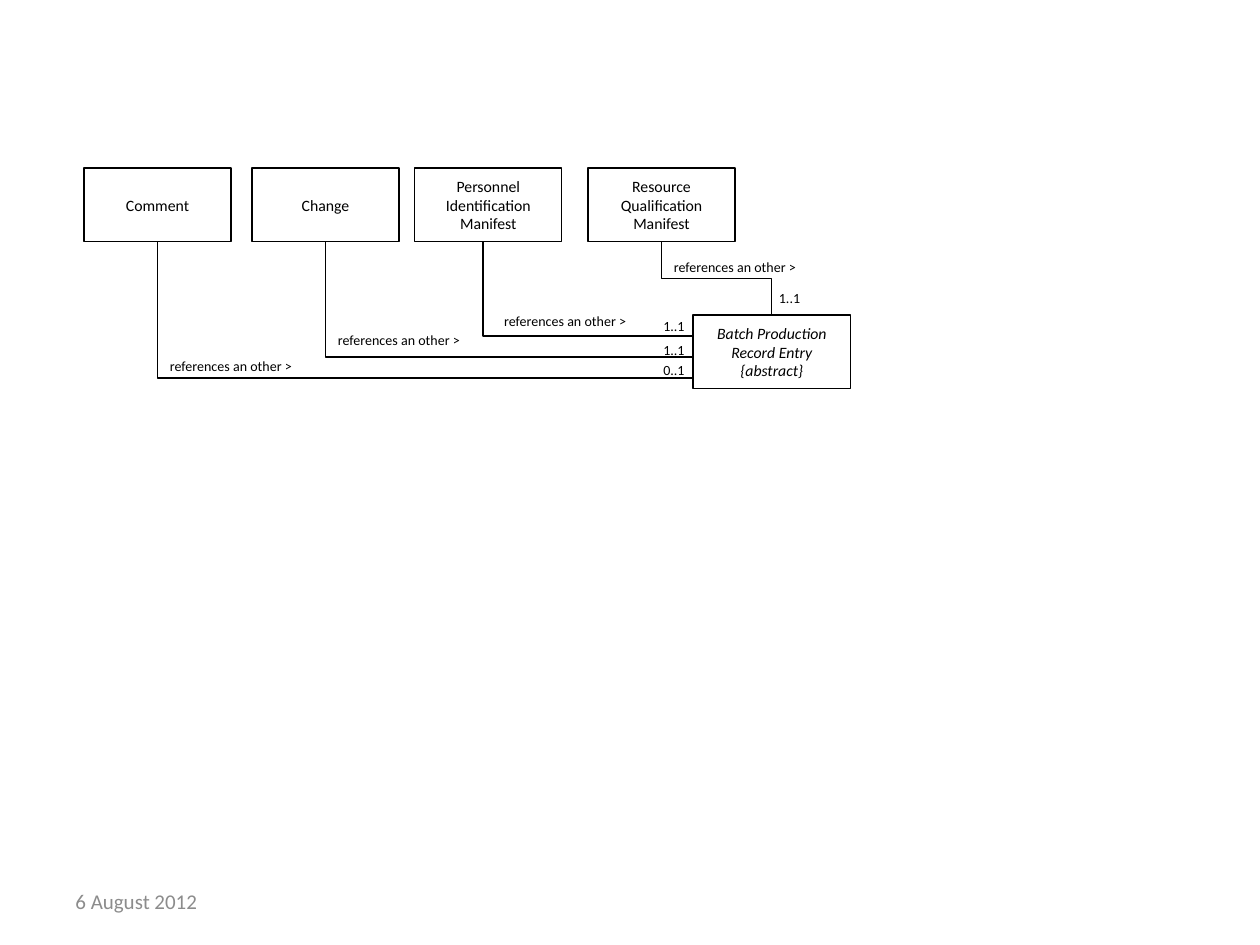
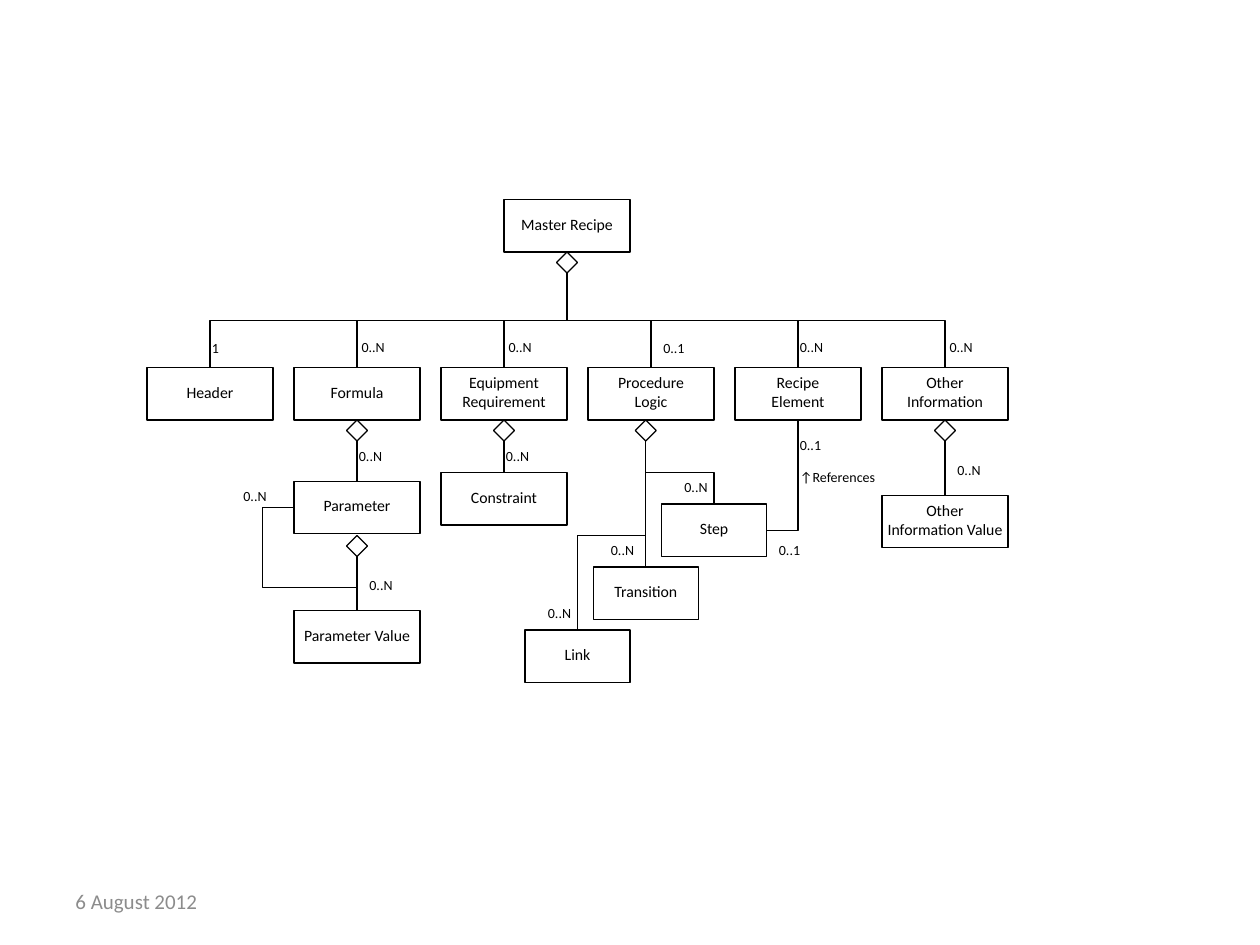
import pptx
import pptx.dml.color
import pptx.enum.shapes
import pptx.enum.text
import pptx.oxml
import pptx.oxml.ns
import pptx.util

Pt = pptx.util.Pt
SHAPE = pptx.enum.shapes.MSO_SHAPE
CONNECTOR = pptx.enum.shapes.MSO_CONNECTOR
ANCHOR = pptx.enum.text.MSO_ANCHOR
ALIGN = pptx.enum.text.PP_ALIGN
AUTO_SIZE = pptx.enum.text.MSO_AUTO_SIZE

FONT = "Calibri"
BLACK, WHITE, GREY = "000000", "FFFFFF", "8C8C8C"
DATE = "6 August 2012"
REFERENCES = "references an other >"
LABEL_WIDTHS = {"1": 18.7, "0..1": 28, "1..1": 28, "0..N": 29.5,
                "↑References": 62.6, REFERENCES: 96}
LABEL_FRAME = {"word_wrap": False, "auto_size": AUTO_SIZE.SHAPE_TO_FIT_TEXT}
CLASS_FRAME = {"word_wrap": False, "vertical_anchor": ANCHOR.MIDDLE, "margin_top": Pt(1.5)}
WRAPPED_FRAME = {"word_wrap": True, "vertical_anchor": ANCHOR.MIDDLE}
DIAMOND = 12


def set_all(obj, values):
    for name, value in values.items():
        setattr(obj, name, value)


def rgb(value):
    return pptx.dml.color.RGBColor.from_string(value)


def write(sp, text, frame, size, color=BLACK, align=ALIGN.LEFT, italic=False):
    tf = sp.text_frame
    set_all(tf, frame)
    for i, line in enumerate(text.split("\n")):
        p = tf.add_paragraph() if i else tf.paragraphs[0]
        p.alignment = align
        r = p.add_run()
        r.text = line
        set_all(r.font, {"name": FONT, "size": Pt(size), "italic": italic})
        r.font.color.rgb = rgb(color)


def outline(sp):
    sp.line.color.rgb = rgb(BLACK)
    sp.line.width = Pt(0.75)


def add_solid(slide, kind, x, y, w, h):
    """White preset shape with a thin black outline."""
    sp = slide.shapes.add_shape(kind, Pt(x), Pt(y), Pt(w), Pt(h))
    sp.shadow.inherit = False
    sp.fill.solid()
    sp.fill.fore_color.rgb = rgb(WHITE)
    outline(sp)
    return sp


def add_box(slide, text, x, y, w=72, h=30, frame=CLASS_FRAME, italic=False):
    sp = add_solid(slide, SHAPE.RECTANGLE, x, y, w, h)
    write(sp, text, frame, 9, align=ALIGN.CENTER, italic=italic)


def add_diamond(slide, center, top):
    add_solid(slide, SHAPE.DIAMOND, center - DIAMOND / 2, top, DIAMOND, DIAMOND)


def add_label(slide, text, x, y):
    sp = slide.shapes.add_textbox(Pt(x), Pt(y), Pt(LABEL_WIDTHS[text]), Pt(16.6))
    write(sp, text, LABEL_FRAME, 8)


def add_date(slide):
    sp = slide.shapes.add_textbox(Pt(36), Pt(500.5), Pt(168), Pt(28.75))
    write(sp, DATE, WRAPPED_FRAME, 12, GREY)


def add_line(slide, x1, y1, x2, y2, kind=CONNECTOR.STRAIGHT):
    sp = slide.shapes.add_connector(kind, Pt(x1), Pt(y1), Pt(x2), Pt(y2))
    outline(sp)
    sp._element.spPr.append(pptx.oxml.parse_xml(
        "<a:effectLst %s/>" % pptx.oxml.ns.nsdecls("a")))
    return sp


def add_drop(slide, x1, y1, x2, y2):
    """Elbow that leaves downwards, crosses halfway and ends downwards."""
    cx, cy = (x1 + x2) / 2, (y1 + y2) / 2
    half_w, half_h = (y2 - y1) / 2, (x1 - x2) / 2
    sp = add_line(slide, cx - half_w, cy - half_h, cx + half_w, cy + half_h, CONNECTOR.ELBOW)
    sp._element.spPr.xfrm.set("rot", "5400000")


def add_bend(slide, x1, y1, x2, y2, preset, adjustments=()):
    """Elbow that leaves sideways, shaped by a bent connector preset."""
    sp = add_line(slide, x1, y1, x2, y2, CONNECTOR.ELBOW)
    geom = sp._element.spPr.find(pptx.oxml.ns.qn("a:prstGeom"))
    geom.set("prst", preset)
    guides = geom.find(pptx.oxml.ns.qn("a:avLst"))
    for i, value in enumerate(adjustments, 1):
        guides.append(pptx.oxml.parse_xml('<a:gd %s name="adj%d" fmla="val %d"/>' % (
            pptx.oxml.ns.nsdecls("a"), i, value)))


def add_route(slide, *points):
    start, *rest = [(Pt(x), Pt(y)) for x, y in points]
    builder = slide.shapes.build_freeform(*start)
    builder.add_line_segments(rest, close=False)
    sp = builder.convert_to_shape()
    sp.shadow.inherit = False
    sp.fill.background()
    outline(sp)


def build_record_entry(slide):
    top, w, h = 96, 84, 42
    entry_x, entry_y, entry_w = 396, 180, 90
    for text, x in (("Comment", 48), ("Change", 144),
                    ("Personnel Identification Manifest", 237),
                    ("Resource Qualification Manifest", 336)):
        add_box(slide, text, x, top, w, h, WRAPPED_FRAME)
    add_box(slide, "Batch Production Record Entry\n{abstract}", entry_x, entry_y,
            entry_w, h, WRAPPED_FRAME, italic=True)
    for x, y in ((90, 216), (186, 204), (276, 192)):
        add_route(slide, (x, top + h), (x, y), (entry_x, y))
    add_drop(slide, 378, top + h, entry_x + entry_w / 2, entry_y)
    for x, y in ((90, 201), (186, 186), (281, 175), (378, 144)):
        add_label(slide, REFERENCES, x, y)
    for text, x, y in (("0..1", 372, 203), ("1..1", 372, 191.5),
                       ("1..1", 372, 178), ("1..1", 438, 162)):
        add_label(slide, text, x, y)


def build_master_recipe(slide):
    parts = ("Header", "Formula", "Equipment\nRequirement", "Procedure\nLogic",
             "Recipe\nElement", "Other\nInformation")
    lefts = [84 + 84 * i for i in range(len(parts))]
    header, formula, equipment, logic, element, other = [x + 36 for x in lefts]
    part_y, part_end = 210, 240
    diamond_end = part_end + DIAMOND
    root, root_end, split = 324, 144, 369

    for text, x in zip(parts, lefts):
        add_box(slide, text, x, part_y)
        add_drop(slide, root, root_end + DIAMOND, x + 36, part_y)
    add_box(slide, "Master Recipe", root - 36, root_end - 30)
    add_diamond(slide, root, root_end)
    for center in (formula, equipment, split, other):
        add_diamond(slide, center, part_end)

    for text, center, y in (("Parameter", formula, 275), ("Constraint", equipment, 270),
                            ("Other\nInformation Value", other, 283)):
        add_box(slide, text, center - 36, y)
        add_line(slide, center, diamond_end, center, y)
    add_box(slide, "Parameter Value", formula - 36, 349)
    add_diamond(slide, formula, 306)
    add_line(slide, formula, 318, formula, 349)
    add_bend(slide, formula - 36, 290, formula, 318, "bentConnector4", (-50000, 164000))

    for i, text in enumerate(("Step", "Transition", "Link")):
        add_box(slide, text, 378 - 39 * i, 288 + 36 * i, 60)
    add_drop(slide, split, diamond_end, 408, 288)
    add_line(slide, split, diamond_end, split, 324)
    add_drop(slide, split, diamond_end, 330, 360)
    add_bend(slide, 438, 303, element, part_end, "bentConnector2")

    for text, x, y in (
            ("1", 114, 190.5), ("0..N", 199.5, 190), ("0..N", 283.5, 190),
            ("0..1", 372, 190.5), ("0..N", 450, 190), ("0..N", 535.5, 190),
            ("0..N", 198, 252), ("0..N", 282, 252), ("0..N", 540, 260),
            ("0..N", 132, 275), ("0..N", 204, 326),
            ("0..N", 384, 270), ("0..N", 342, 306), ("0..N", 306, 342),
            ("0..1", 438, 306), ("0..1", 450, 246), ("↑References", 450, 264)):
        add_label(slide, text, x, y)


def main():
    prs = pptx.Presentation()
    prs.slide_width, prs.slide_height = Pt(720), Pt(540)
    blank = prs.slide_layouts[6]
    for build in (build_record_entry, build_master_recipe):
        slide = prs.slides.add_slide(blank)
        add_date(slide)
        build(slide)
    prs.save("out.pptx")


if __name__ == "__main__":
    main()
